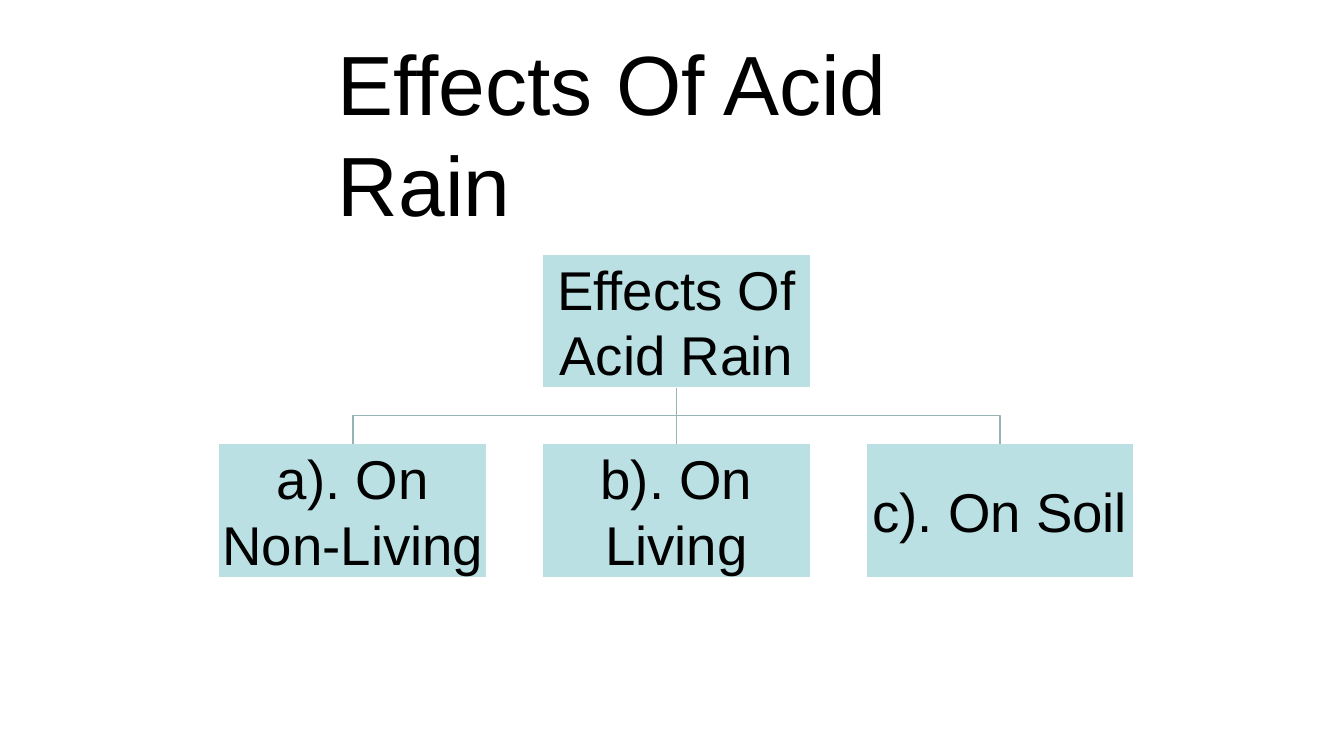
import dataclasses

import lxml.etree
import pptx
import pptx.dml.color
import pptx.enum.shapes
import pptx.enum.text
import pptx.oxml.ns
import pptx.util


@dataclasses.dataclass(frozen=True)
class Theme:
    font: str = "Arial"
    text: str = "000000"
    box: str = "BBE0E3"
    border: str = "FFFFFF"
    branch: str = "96B3B6"
    title_size: float = 60
    box_size: float = 39
    line_width: float = 1


@dataclasses.dataclass(frozen=True)
class Node:
    text: str
    column: int
    level: int


THEME = Theme()
BOX_WIDTH, BOX_HEIGHT = 191.5, 95.75
CHART_LEFT, CHART_TOP = 156.3, 181.4
COLUMN_STEP, LEVEL_STEP = 231.1, 135.4
ROOT = Node("Effects Of Acid Rain", 1, 0)
EFFECTS = [
    Node("a). On Non-Living", 0, 1),
    Node("b). On Living", 1, 1),
    Node("c). On Soil", 2, 1),
]


def color(value: str) -> pptx.dml.color.RGBColor:
    return pptx.dml.color.RGBColor.from_string(value)


def write_text(shape, text: str, *, size: float, align, anchor, margins: tuple[float, float]) -> None:
    frame = shape.text_frame
    frame.word_wrap = True
    frame.auto_size = pptx.enum.text.MSO_AUTO_SIZE.NONE
    frame.vertical_anchor = anchor
    frame.margin_left = frame.margin_right = pptx.util.Pt(margins[0])
    frame.margin_top = frame.margin_bottom = pptx.util.Pt(margins[1])
    paragraph = frame.paragraphs[0]
    paragraph.alignment = align
    run = paragraph.add_run()
    run.text = text
    run.font.name = THEME.font
    run.font.size = pptx.util.Pt(size)
    run.font.color.rgb = color(THEME.text)


def style_line(line, value: str) -> None:
    line.color.rgb = color(value)
    line.width = pptx.util.Pt(THEME.line_width)


def add_title(slide) -> None:
    title = slide.shapes.title
    title.left, title.top = pptx.util.Pt(234), pptx.util.Pt(18)
    title.width, title.height = pptx.util.Pt(516), pptx.util.Pt(153)
    write_text(
        title, ROOT.text, size=THEME.title_size,
        align=pptx.enum.text.PP_ALIGN.LEFT,
        anchor=pptx.enum.text.MSO_ANCHOR.MIDDLE, margins=(7.2, 3.6),
    )


def add_node(slide, node: Node):
    shape = slide.shapes.add_shape(
        pptx.enum.shapes.MSO_SHAPE.RECTANGLE,
        pptx.util.Pt(CHART_LEFT + node.column * COLUMN_STEP),
        pptx.util.Pt(CHART_TOP + node.level * LEVEL_STEP),
        pptx.util.Pt(BOX_WIDTH), pptx.util.Pt(BOX_HEIGHT),
    )
    shape.shadow.inherit = False
    shape.fill.solid()
    shape.fill.fore_color.rgb = color(THEME.box)
    style_line(shape.line, THEME.border)
    write_text(
        shape, node.text, size=THEME.box_size,
        align=pptx.enum.text.PP_ALIGN.CENTER,
        anchor=pptx.enum.text.MSO_ANCHOR.MIDDLE, margins=(2, 2),
    )
    return shape


def add_branch(slide, parent, child) -> None:
    start_x, start_y = parent.left + parent.width // 2, parent.top + parent.height
    end_x, end_y = child.left + child.width // 2, child.top
    if start_x == end_x:
        branch = slide.shapes.add_connector(
            pptx.enum.shapes.MSO_CONNECTOR.STRAIGHT, start_x, start_y, end_x, end_y
        )
        branch.begin_connect(parent, 2)
        branch.end_connect(child, 0)
        lxml.etree.SubElement(branch.element.spPr, pptx.oxml.ns.qn("a:effectLst"))
    else:
        middle_y = (start_y + end_y) // 2
        builder = slide.shapes.build_freeform(start_x, start_y)
        builder.add_line_segments(
            [(start_x, middle_y), (end_x, middle_y), (end_x, end_y)], close=False
        )
        branch = builder.convert_to_shape()
        branch.shadow.inherit = False
        branch.fill.background()
    style_line(branch.line, THEME.branch)


def main() -> None:
    presentation = pptx.Presentation()
    presentation.slide_width = pptx.util.Pt(960)
    presentation.slide_height = pptx.util.Pt(540)
    slide = presentation.slides.add_slide(presentation.slide_layouts[5])
    add_title(slide)
    root = add_node(slide, ROOT)
    for effect in EFFECTS:
        add_branch(slide, root, add_node(slide, effect))
    presentation.save("out.pptx")


if __name__ == "__main__":
    main()
